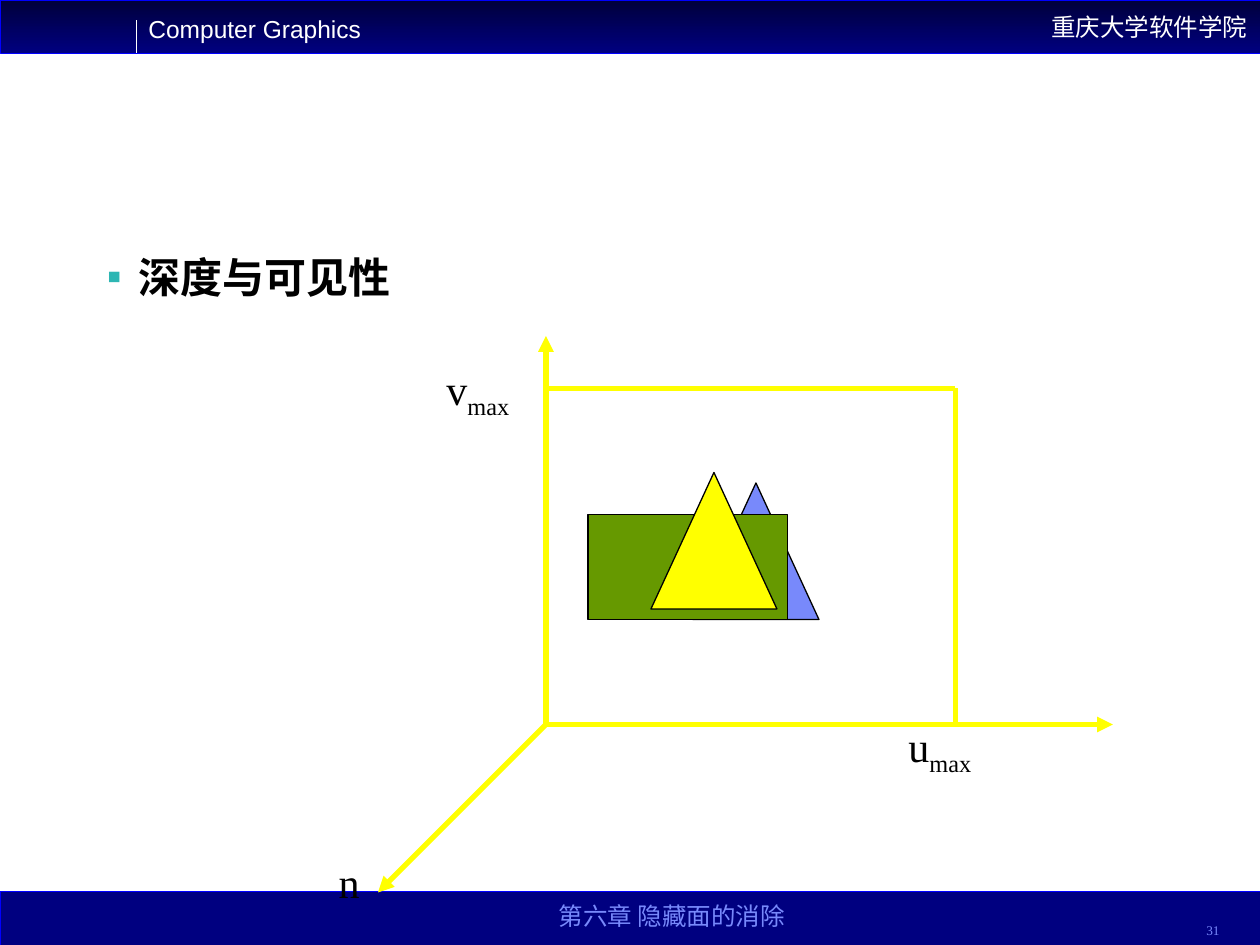
"""Build the slide on depth and visibility."""
from dataclasses import dataclass

from lxml import etree
from pptx import Presentation
from pptx.dml.color import RGBColor
from pptx.enum.shapes import MSO_CONNECTOR, MSO_SHAPE
from pptx.enum.text import MSO_ANCHOR, PP_ALIGN
from pptx.oxml.ns import qn
from pptx.util import Pt

RECTANGLE, TRIANGLE = MSO_SHAPE.RECTANGLE, MSO_SHAPE.ISOSCELES_TRIANGLE
STRAIGHT = MSO_CONNECTOR.STRAIGHT
TOP, MIDDLE, BOTTOM = MSO_ANCHOR.TOP, MSO_ANCHOR.MIDDLE, MSO_ANCHOR.BOTTOM
LEFT, CENTER, RIGHT = PP_ALIGN.LEFT, PP_ALIGN.CENTER, PP_ALIGN.RIGHT

WIDTH, HEIGHT, BAND = 720, 540, 30.5
WHITE, BLACK, YELLOW = "FFFFFF", "000000", "FFFF00"
NAVY, DARK_NAVY, BLUE = "000080", "00003B", "0000FF"
PERIWINKLE, GREEN, TEAL = "7889FB", "669900", "2DB6B3"
SANS, SERIF = "Arial", "Times New Roman"

ORIGIN = (312, 414)
U_MAX, V_MAX = 546, 222


@dataclass
class Figure:
    """A filled preset shape, in points."""
    kind: int
    left: float
    top: float
    width: float
    height: float
    fill: str
    line: str = BLACK
    line_width: float = 0.75


@dataclass
class Line:
    """A straight line, in points."""
    start: tuple[float, float]
    end: tuple[float, float]
    color: str = YELLOW
    width: float = 3
    arrow: bool = False


@dataclass
class AxisLabel:
    """An axis name with its subscript."""
    left: float
    top: float
    width: float
    height: float
    name: str
    subscript: str = ""


HEADER = Figure(RECTANGLE, 0, 0, WIDTH, BAND, NAVY, BLUE, 0.25)
FOOTER = Figure(RECTANGLE, 0, HEIGHT - BAND, WIDTH, BAND, NAVY, BLUE, 0.25)
HEADER_RULE = Line((78, 11.5), (78, BAND), WHITE, 0.75)
WINDOW_EDGES = [
    Line((U_MAX, V_MAX), (U_MAX, ORIGIN[1])),
    Line((U_MAX, V_MAX), (ORIGIN[0], V_MAX)),
]
OBJECTS = [
    Figure(TRIANGLE, 396, 276, 72, 78, PERIWINKLE),
    Figure(RECTANGLE, 336, 294, 114, 60, GREEN),
    Figure(TRIANGLE, 372, 270, 72, 78, YELLOW),
]
AXES = [Line(ORIGIN, tip, arrow=True) for tip in ((636, 414), (312, 192), (216, 510))]
AXIS_LABELS = [
    AxisLabel(186.5, 486, 30, 36, "n"),
    AxisLabel(512, 408, 60, 40, "u", "max"),
    AxisLabel(248, 204, 60, 40, "v", "max"),
]


def rgb(color: str) -> RGBColor:
    """Turn a hex string into a colour."""
    return RGBColor.from_string(color)


def add_figure(slide, figure: Figure):
    """Draw a filled shape with an outline."""
    shape = slide.shapes.add_shape(figure.kind, Pt(figure.left), Pt(figure.top),
                                   Pt(figure.width), Pt(figure.height))
    shape.shadow.inherit = False
    shape.fill.solid()
    shape.fill.fore_color.rgb = rgb(figure.fill)
    shape.line.color.rgb = rgb(figure.line)
    shape.line.width = Pt(figure.line_width)
    return shape


def add_line(slide, line: Line) -> None:
    """Draw a straight line, with an arrowhead at its end if asked."""
    connector = slide.shapes.add_connector(STRAIGHT, *map(Pt, line.start + line.end))
    connector.line.color.rgb = rgb(line.color)
    connector.line.width = Pt(line.width)
    if line.arrow:
        outline = connector.line._get_or_add_ln()
        etree.SubElement(outline, qn("a:tailEnd"), type="triangle")
    etree.SubElement(connector._element.spPr, qn("a:effectLst"))


def add_text(slide, text: str, left: float, top: float, width: float, height: float, *,
             size: float = 14, font: str = SANS, color: str = WHITE, bold: bool = False,
             align=LEFT, anchor=TOP, spacing: float = 1,
             subscript: str = "", bullet: str = "") -> None:
    """Add a one-paragraph text box."""
    box = slide.shapes.add_textbox(Pt(left), Pt(top), Pt(width), Pt(height))
    frame = box.text_frame
    frame.word_wrap = True
    frame.vertical_anchor = anchor
    paragraph = frame.paragraphs[0]
    paragraph.alignment = align
    paragraph.line_spacing = spacing
    if bullet:
        properties = paragraph._p.get_or_add_pPr()
        properties.set("marL", str(Pt(18)))
        properties.set("indent", str(-Pt(18)))
        bullet_color = etree.SubElement(properties, qn("a:buClr"))
        etree.SubElement(bullet_color, qn("a:srgbClr"), val=TEAL)
        etree.SubElement(properties, qn("a:buFont"), typeface=font)
        etree.SubElement(properties, qn("a:buChar"), char=bullet)
    for part in filter(None, (text, subscript)):
        run = paragraph.add_run()
        run.text = part
        run.font.size = Pt(size)
        run.font.name = font
        run.font.bold = bold
        run.font.color.rgb = rgb(color)
    if subscript:
        run.font._element.set("baseline", "-25000")


def add_frame(slide) -> None:
    """Draw the header and footer bands with their texts."""
    header = add_figure(slide, HEADER)
    header.fill.gradient()
    header.fill.gradient_angle = 270
    for stop, color in zip(header.fill.gradient_stops, (DARK_NAVY, NAVY)):
        stop.color.rgb = rgb(color)
    add_figure(slide, FOOTER)
    add_text(slide, "重庆大学软件学院", 520, 0, 200, BAND, align=RIGHT, anchor=MIDDLE)
    add_text(slide, "Computer Graphics", 77.7, 4.5, 150, 24.5)
    add_line(slide, HEADER_RULE)
    add_text(slide, "第六章 隐藏面的消除", 270, 508, 228, 27, font=SERIF,
             color=PERIWINKLE, align=CENTER, anchor=BOTTOM)
    add_text(slide, "31", 632, 512.5, 72, 27, size=7.6, font=SERIF,
             color=PERIWINKLE, align=RIGHT, anchor=BOTTOM, spacing=0.8)


def add_diagram(slide) -> None:
    """Draw the view window, the overlapping objects and the axes."""
    for edge in WINDOW_EDGES:
        add_line(slide, edge)
    for figure in OBJECTS:
        add_figure(slide, figure)
    for axis in AXES:
        add_line(slide, axis)
    for label in AXIS_LABELS:
        add_text(slide, label.name, label.left, label.top, label.width, label.height,
                 size=24, font=SERIF, color=BLACK, subscript=label.subscript)


def main() -> None:
    """Build and save the presentation."""
    presentation = Presentation()
    presentation.slide_width, presentation.slide_height = Pt(WIDTH), Pt(HEIGHT)
    slide = presentation.slides.add_slide(presentation.slide_layouts[6])
    add_frame(slide)
    add_text(slide, "深度与可见性", 54, 140, 612, 307.5, size=24, color=BLACK,
             bold=True, bullet="▪")
    add_diagram(slide)
    presentation.save("out.pptx")


if __name__ == "__main__":
    main()
